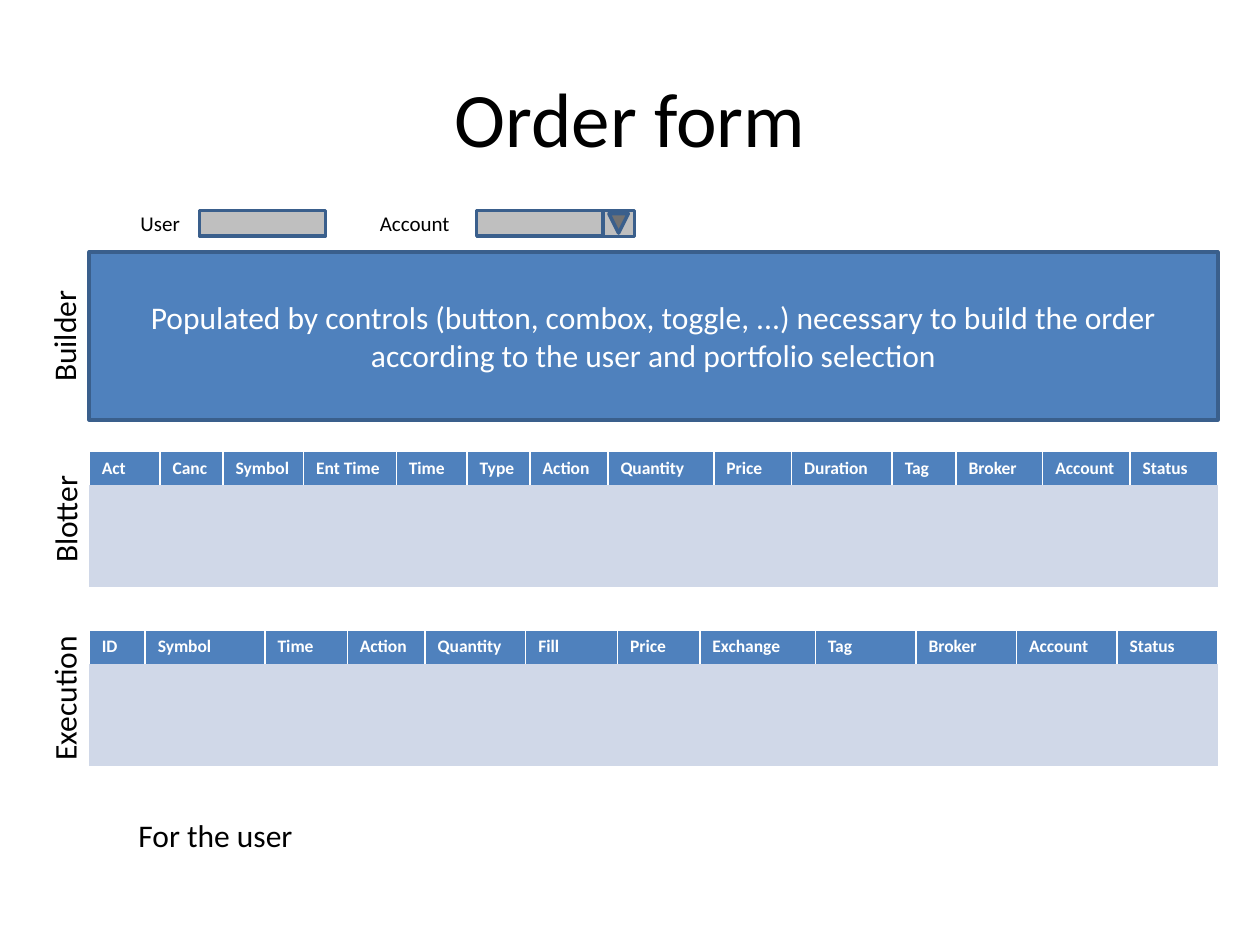
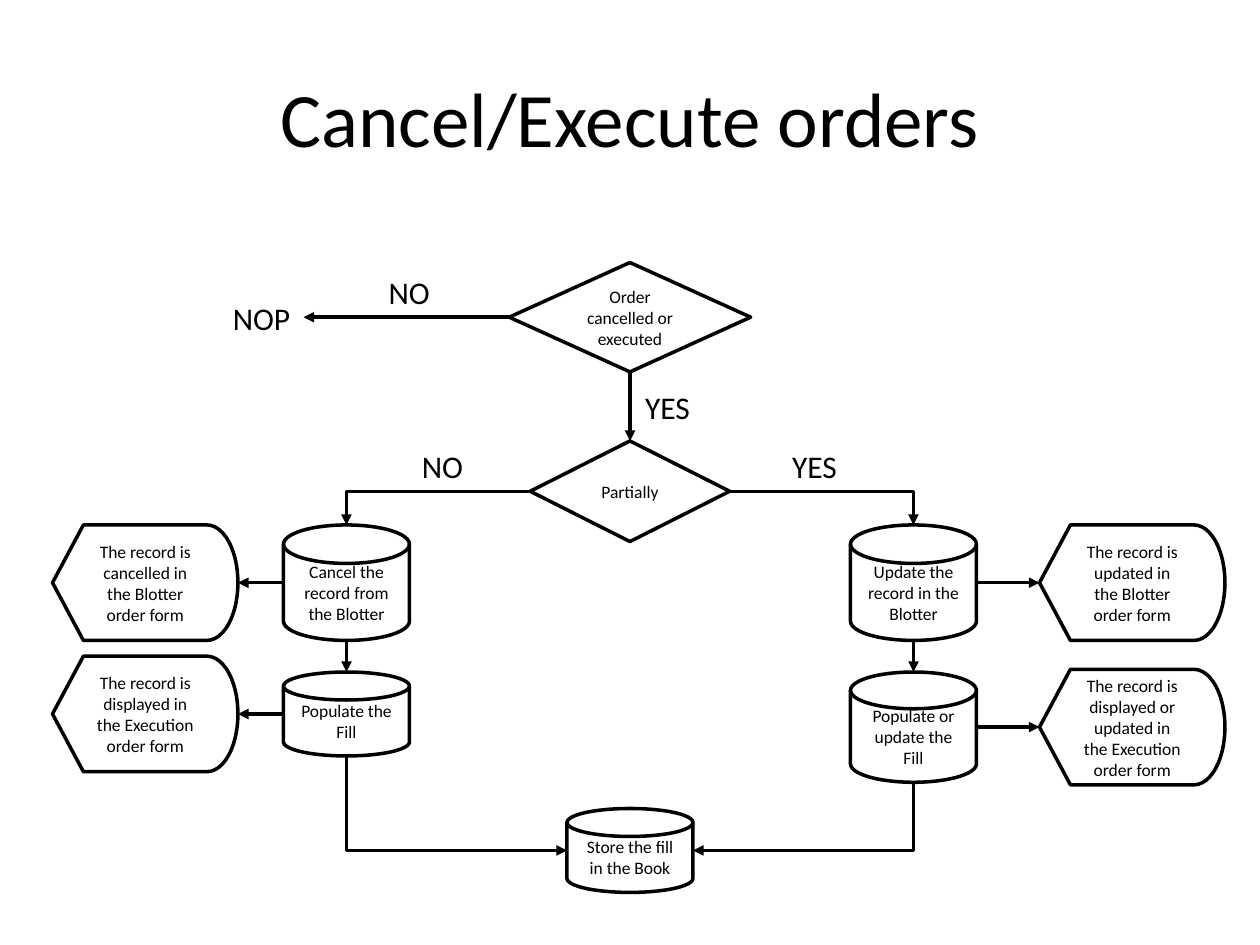
from dataclasses import dataclass
from typing import Any

from lxml.etree import SubElement
from pptx import Presentation
from pptx.dml.color import RGBColor
from pptx.enum.shapes import MSO_CONNECTOR as Link, MSO_SHAPE as Preset
from pptx.enum.text import MSO_ANCHOR as Anchor, PP_ALIGN as Align
from pptx.oxml import parse_xml
from pptx.oxml.ns import nsdecls, qn
from pptx.util import Pt

FONT = "Calibri"
BLACK, WHITE = "000000", "FFFFFF"
BLUE, EDGE, PALE, GREY = "4F81BD", "3A5F8C", "D0D8E8", "BFBFBF"
LINE_WIDTH = 2
PLAIN_TABLE = "{2D5ABB26-0587-4C30-8999-92F81FD0307C}"
PANEL_LEFT, PANEL_WIDTH = 51, 645

Point = tuple[float, float]


@dataclass(frozen=True)
class Area:
    left: float
    top: float
    width: float
    height: float

    @property
    def frame(self) -> tuple[Pt, Pt, Pt, Pt]:
        return Pt(self.left), Pt(self.top), Pt(self.width), Pt(self.height)

    @property
    def center(self) -> Point:
        return self.left + self.width / 2, self.top + self.height / 2

    @property
    def west(self) -> Point:
        return self.left, self.center[1]

    @property
    def east(self) -> Point:
        return self.left + self.width, self.center[1]

    @property
    def north(self) -> Point:
        return self.center[0], self.top

    @property
    def south(self) -> Point:
        return self.center[0], self.top + self.height


@dataclass(frozen=True)
class Label:
    text: str
    area: Area
    size: float = 18
    rotation: float = 0


@dataclass(frozen=True)
class Node:
    preset: Preset
    text: str
    area: Area


@dataclass(frozen=True)
class Grid:
    top: float
    columns: dict[str, float]


def color(value: str) -> RGBColor:
    return RGBColor.from_string(value)


def assign(target: Any, values: dict[str, Any]) -> None:
    for name, value in values.items():
        setattr(target, name, value)


def write(frame: Any, text: str, size: float, ink: str = BLACK,
          align: Align = Align.LEFT, bold: bool = False) -> None:
    para = frame.paragraphs[0]
    para.alignment = align
    span = para.add_run()
    span.text = text
    assign(span.font, {"name": FONT, "size": Pt(size), "bold": bold})
    span.font.color.rgb = color(ink)


def stroke(line: Any, ink: str) -> None:
    line.color.rgb = color(ink)
    line.width = Pt(LINE_WIDTH)


def add_page(deck: Any, title: str) -> Any:
    page = deck.slides.add_slide(deck.slide_layouts[5])
    holder = page.shapes.title
    left, top, width, height = Area(36, 21.6, 648, 90).frame
    assign(holder, {"left": left, "top": top, "width": width, "height": height})
    holder.text_frame.vertical_anchor = Anchor.MIDDLE
    write(holder.text_frame, title, 44, align=Align.CENTER)
    return page


def add_label(page: Any, label: Label) -> None:
    box = page.shapes.add_textbox(*label.area.frame)
    box.rotation = label.rotation
    box.text_frame.word_wrap = False
    write(box.text_frame, label.text, label.size)


def add_box(page: Any, preset: Preset, area: Area, fill: str | None, edge: str,
            text: str = "", size: float = 10, ink: str = BLACK,
            rotation: float = 0) -> None:
    box = page.shapes.add_shape(preset, *area.frame)
    box.shadow.inherit = False
    box.rotation = rotation
    if fill:
        box.fill.solid()
        box.fill.fore_color.rgb = color(fill)
    else:
        box.fill.background()
    stroke(box.line, edge)
    if text:
        assign(box.text_frame, {"word_wrap": True, "vertical_anchor": Anchor.MIDDLE})
        write(box.text_frame, text, size, ink, Align.CENTER)


def add_arrow(page: Any, start: Point, end: Point, bent: bool = False,
              head: str = "tailEnd") -> None:
    kind = Link.ELBOW if bent else Link.STRAIGHT
    arrow = page.shapes.add_connector(kind, *(Pt(value) for value in start + end))
    stroke(arrow.line, BLACK)
    properties = arrow.element.spPr
    if bent:
        properties.find(qn("a:prstGeom")).set("prst", "bentConnector2")
    SubElement(properties.find(qn("a:ln")), qn(f"a:{head}"), type="triangle")
    SubElement(properties, qn("a:effectLst"))


def border(side: str) -> Any:
    return parse_xml(
        f'<a:{side} {nsdecls("a")} w="12700"><a:solidFill>'
        f'<a:srgbClr val="{WHITE}"/></a:solidFill></a:{side}>')


def add_grid(page: Any, grid: Grid) -> None:
    heights = (19.4, 58.3)
    area = Area(PANEL_LEFT, grid.top, PANEL_WIDTH, sum(heights))
    holder = page.shapes.add_table(2, len(grid.columns), *area.frame)
    next(holder.element.iter(qn("a:tableStyleId"))).text = PLAIN_TABLE
    table = holder.table
    for row, height in zip(table.rows, heights):
        row.height = Pt(height)
    for index, (heading, width) in enumerate(grid.columns.items()):
        table.columns[index].width = Pt(width)
        for row, fill in enumerate((BLUE, PALE)):
            cell = table.cell(row, index)
            cell.fill.solid()
            cell.fill.fore_color.rgb = color(fill)
        write(table.cell(0, index).text_frame, heading, 10, WHITE, bold=True)
    header = next(holder.element.iter(qn("a:tr")))
    for properties in header.iter(qn("a:tcPr")):
        for position, side in enumerate(("lnL", "lnR", "lnT")):
            properties.insert(position, border(side))


ORDER_GRIDS = (
    Grid(258, {"Act": 40.5, "Canc": 36, "Symbol": 46, "Ent Time": 53, "Time": 40.5,
               "Type": 36, "Action": 44.5, "Quantity": 60.5, "Price": 44.5,
               "Duration": 57.5, "Tag": 36.5, "Broker": 49.5, "Account": 50,
               "Status": 50}),
    Grid(360, {"ID": 32, "Symbol": 68.5, "Time": 47, "Action": 44.5,
               "Quantity": 57.5, "Fill": 52.5, "Price": 47, "Exchange": 66,
               "Tag": 57.5, "Broker": 57.5, "Account": 57.5, "Status": 57.5}),
)

ORDER_LABELS = (
    Label("Builder", Area(2.9, 177.3, 67, 29), rotation=270),
    Label("Blotter", Area(4.4, 281.5, 65.5, 29), rotation=270),
    Label("Execution", Area(-6.5, 384, 86.4, 29), rotation=270),
    Label("User", Area(73.2, 116.8, 37.4, 21.8), 12),
    Label("Account", Area(210, 116.8, 54, 21.8), 12),
    Label("For the user", Area(72, 462.5, 103.5, 29)),
)

FLOW_LABELS = (
    Label("NOP", Area(126, 167.3, 47.5, 29)),
    Label("NO", Area(215, 152.5, 38, 29)),
    Label("YES", Area(361.5, 218, 40.5, 29)),
    Label("NO", Area(234, 252, 38, 29)),
    Label("YES", Area(445.5, 252, 40.5, 29)),
)

DECISION, DISK, DISPLAY = (
    Preset.FLOWCHART_DECISION, Preset.FLOWCHART_MAGNETIC_DISK, Preset.FLOWCHART_DISPLAY)
CANCEL_LEFT, UPDATE_LEFT, DISK_WIDTH = 162, 486, 72
CANCEL_SCREEN, UPDATE_SCREEN, SCREEN_WIDTH = 30, 594, 106

FLOW_NODES = {
    "status": Node(DECISION, "Order cancelled or executed", Area(291, 150, 138, 62.5)),
    "partial": Node(DECISION, "Partially", Area(303, 252, 114, 57.5)),
    "store": Node(DISK, "Store the fill in the Book", Area(324, 462, DISK_WIDTH, 48)),
    "cancel": Node(DISK, "Cancel the record from the Blotter",
                   Area(CANCEL_LEFT, 300, DISK_WIDTH, 66)),
    "populate": Node(DISK, "Populate the Fill",
                     Area(CANCEL_LEFT, 384, DISK_WIDTH, 48)),
    "cancelled": Node(DISPLAY, "The record is cancelled in the Blotter order form",
                      Area(CANCEL_SCREEN, 300, SCREEN_WIDTH, 66)),
    "displayed": Node(DISPLAY, "The record is displayed in the Execution order form",
                      Area(CANCEL_SCREEN, 375, SCREEN_WIDTH, 66)),
    "update": Node(DISK, "Update the record in the Blotter",
                   Area(UPDATE_LEFT, 300, DISK_WIDTH, 66)),
    "refill": Node(DISK, "Populate or update the Fill",
                   Area(UPDATE_LEFT, 384, DISK_WIDTH, 63)),
    "updated": Node(DISPLAY, "The record is updated in the Blotter order form",
                    Area(UPDATE_SCREEN, 300, SCREEN_WIDTH, 66)),
    "refreshed": Node(DISPLAY,
                      "The record is displayed or updated in the Execution order form",
                      Area(UPDATE_SCREEN, 382.5, SCREEN_WIDTH, 66)),
}


def build_order_form(deck: Any) -> None:
    page = add_page(deck, "Order form")
    for grid in ORDER_GRIDS:
        add_grid(page, grid)
    add_box(page, Preset.RECTANGLE, Area(PANEL_LEFT, 144, PANEL_WIDTH, 96), BLUE, EDGE,
            "Populated by controls (button, combox, toggle, ...) necessary to build "
            "the order according to the user and portfolio selection", 18, WHITE)
    for left in (114, 272.4):
        add_box(page, Preset.RECTANGLE, Area(left, 120.2, 72, 14.8), GREY, EDGE)
    add_box(page, Preset.ACTION_BUTTON_BACK_OR_PREVIOUS,
            Area(346.1, 118.6, 14.8, 18), GREY, EDGE, rotation=270)
    for label in ORDER_LABELS:
        add_label(page, label)


def build_order_flow(deck: Any) -> None:
    page = add_page(deck, "Cancel/Execute orders")
    for node in FLOW_NODES.values():
        add_box(page, node.preset, node.area, None, BLACK, node.text)
    for label in FLOW_LABELS:
        add_label(page, label)
    spot = {name: node.area for name, node in FLOW_NODES.items()}
    add_arrow(page, spot["status"].west, (173.5, spot["status"].center[1]))
    for upper, lower in (("status", "partial"), ("cancel", "populate"),
                         ("update", "refill")):
        add_arrow(page, spot[upper].south, spot[lower].north)
    for disk, screen in (("cancel", "cancelled"), ("populate", "displayed")):
        add_arrow(page, spot[disk].west, spot[screen].east)
    for disk, screen in (("update", "updated"), ("refill", "refreshed")):
        add_arrow(page, spot[disk].east, spot[screen].west)
    partial, store = spot["partial"], spot["store"]
    add_arrow(page, partial.west, spot["cancel"].north, bent=True)
    add_arrow(page, partial.east, spot["update"].north, bent=True)
    add_arrow(page, store.west, spot["populate"].south, bent=True, head="headEnd")
    add_arrow(page, store.east, spot["refill"].south, bent=True, head="headEnd")


def main() -> None:
    deck = Presentation()
    assign(deck, {"slide_width": Pt(720), "slide_height": Pt(540)})
    build_order_form(deck)
    build_order_flow(deck)
    deck.save("out.pptx")


main()
